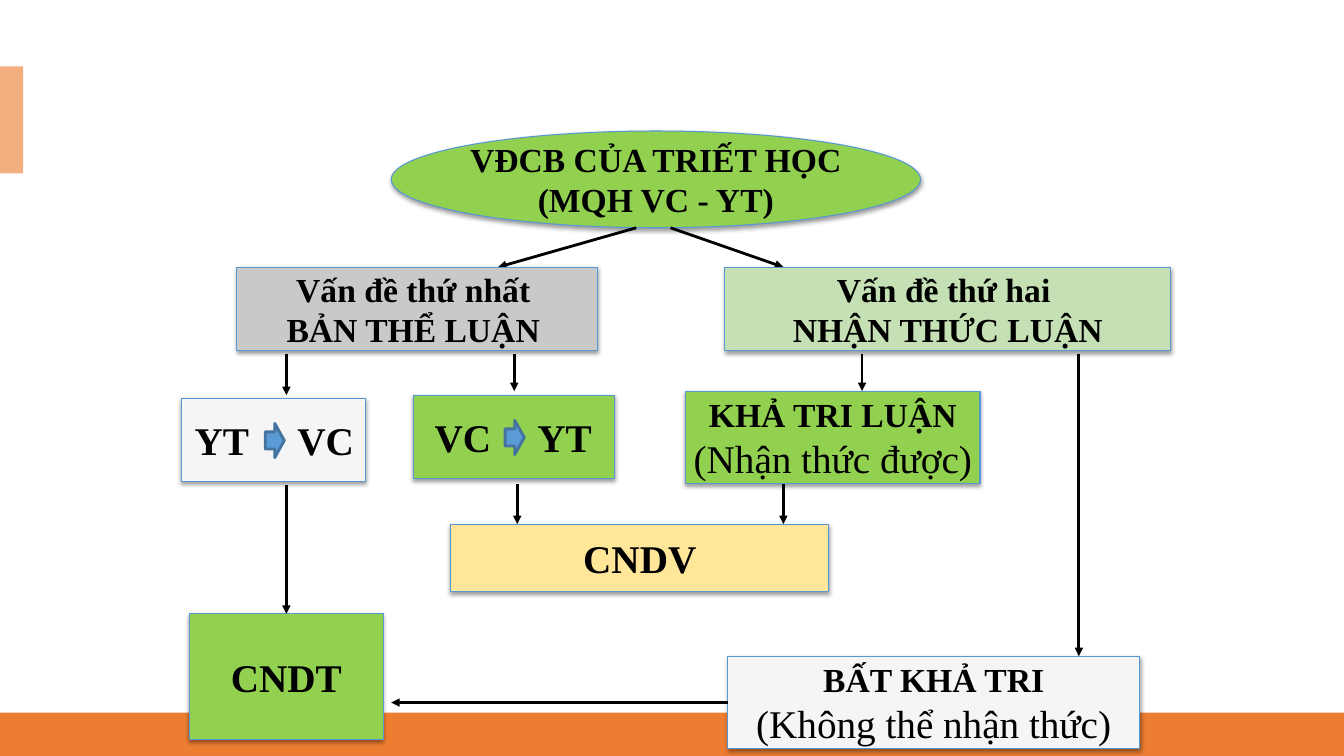
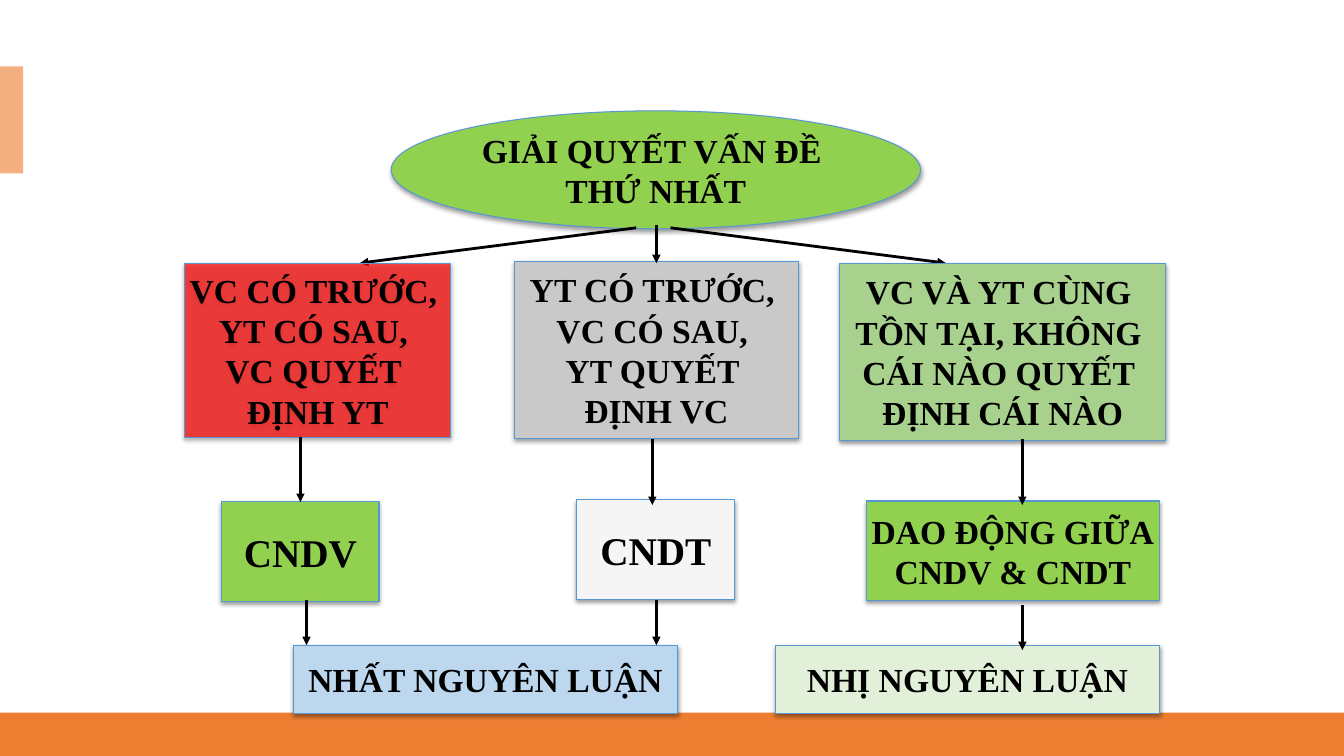
import pptx
import pptx.util
from lxml import etree
from pptx.dml.color import RGBColor
from pptx.enum.shapes import MSO_CONNECTOR, MSO_SHAPE
from pptx.enum.text import MSO_ANCHOR, PP_ALIGN
from pptx.oxml.ns import qn
from pptx.util import Inches

BLACK = RGBColor(0x00, 0x00, 0x00)
ORANGE = RGBColor(0xED, 0x7D, 0x31)
PEACH = RGBColor(0xF4, 0xAF, 0x80)
OUTLINE = RGBColor(0x56, 0x98, 0xD3)
BLUE = RGBColor(0x5B, 0x9B, 0xD5)
DARK_BLUE = RGBColor(0x43, 0x73, 0x9E)
LIGHT_BLUE = RGBColor(0xBD, 0xD7, 0xEE)
LIME = RGBColor(0x92, 0xD0, 0x50)
GREEN = RGBColor(0xA9, 0xD1, 0x8E)
LIGHT_GREEN = RGBColor(0xC5, 0xE0, 0xB4)
PALE_GREEN = RGBColor(0xE2, 0xF0, 0xD9)
GRAY = RGBColor(0xC9, 0xC9, 0xC9)
WHITE_SMOKE = RGBColor(0xF5, 0xF5, 0xF5)
YELLOW = RGBColor(0xFF, 0xE6, 0x99)
RED = RGBColor(0xFF, 0x00, 0x00)

FONT = "Times New Roman"
SMALL, LARGE = 24, 28


def add_preset(s, preset, at, fill, line=None, width=0.75):
    sp = s.shapes.add_shape(preset, *map(Inches, at))
    sp.shadow.inherit = False
    sp.fill.solid()
    sp.fill.fore_color.rgb = fill
    if line is None:
        sp.line.fill.background()
    else:
        sp.line.color.rgb = line
        sp.line.width = pptx.util.Pt(width)
    return sp


def add_soft_shadow(sp):
    effects = sp._element.spPr.find(qn("a:effectLst"))
    shadow = etree.SubElement(effects, qn("a:outerShdw"), blurRad="39400",
                              dist="20300", dir="5400000", rotWithShape="0")
    color = etree.SubElement(shadow, qn("a:srgbClr"), val=str(BLACK))
    etree.SubElement(color, qn("a:alpha"), val="38000")


def set_opacity(sp, percent):
    color = sp._element.spPr.find(qn("a:solidFill"))[0]
    etree.SubElement(color, qn("a:alpha"), val=str(percent * 1000))


def style_paragraph(p, size, bold=True):
    p.font.name = FONT
    p.font.size = pptx.util.Pt(size)
    p.font.bold = bold
    p.font.color.rgb = BLACK


def add_node(s, at, fill, lines, size=SMALL, note=None, preset=MSO_SHAPE.RECTANGLE):
    """Shadowed box with bold centred lines and an optional plain last line."""
    sp = add_preset(s, preset, at, fill, OUTLINE)
    add_soft_shadow(sp)
    tf = sp.text_frame
    tf.word_wrap = False
    tf.vertical_anchor = MSO_ANCHOR.MIDDLE
    texts = [(text, size, True) for text in lines]
    if note:
        texts.append((note, LARGE, False))
    for i, (text, points, bold) in enumerate(texts):
        p = tf.add_paragraph() if i else tf.paragraphs[0]
        p.alignment = PP_ALIGN.CENTER
        p.add_run().text = text
        style_paragraph(p, points, bold)
    return sp


def add_relation(s, at, fill, first, second, inset):
    """Box with two terms set apart by a tab and a block arrow between them."""
    left, top, width, height = at
    sp = add_node(s, at, fill, [])
    tf = sp.text_frame
    tf.word_wrap = True
    tf.margin_left, tf.margin_right = Inches(inset), 0
    p = tf.paragraphs[0]
    p.alignment = PP_ALIGN.LEFT
    tabs = etree.SubElement(p._p.get_or_add_pPr(), qn("a:tabLst"))
    etree.SubElement(tabs, qn("a:tab"), pos=str(Inches(1.02)), algn="l")
    p.add_run().text = f"{first}\t{second}"
    style_paragraph(p, LARGE)
    add_preset(s, MSO_SHAPE.RIGHT_ARROW,
               (left + inset + 0.7, top + 0.25, 0.19, 0.34), BLUE, DARK_BLUE, 2)


def add_arrow(s, x1, y1, x2, y2):
    line = s.shapes.add_connector(MSO_CONNECTOR.STRAIGHT,
                                  *map(Inches, (x1, y1, x2, y2)))
    line.line.color.rgb = BLACK
    line.line.width = pptx.util.Pt(2)
    etree.SubElement(line.line._get_or_add_ln(), qn("a:tailEnd"), type="triangle")
    etree.SubElement(line._element.spPr, qn("a:effectLst"))


def add_drops(s, drops):
    """Vertical arrows, each given as x, top and bottom."""
    for x, top, bottom in drops:
        add_arrow(s, x, top, x, bottom)


def add_root(s, top, height, lines, targets):
    """Ellipse at the head of a tree, with slanted arrows to both sides."""
    add_node(s, (3.88, top, 5.25, height), LIME, lines, preset=MSO_SHAPE.OVAL)
    for x, (to_x, to_y) in zip((6.31, 6.65), targets):
        add_arrow(s, x, 2.26, to_x, to_y)


def add_slide(prs):
    s = prs.slides.add_slide(prs.slide_layouts[6])
    add_preset(s, MSO_SHAPE.RECTANGLE, (0, 7.07, 13.33, 0.43), ORANGE)
    add_preset(s, MSO_SHAPE.RECTANGLE, (0, 0.66, 0.23, 1.06), PEACH)
    return s


def add_two_questions(prs):
    s = add_slide(prs)
    add_root(s, 1.3, 0.96, ["VĐCB CỦA TRIẾT HỌC", "(MQH VC - YT)"],
             [(4.94, 2.65), (7.77, 2.65)])
    add_node(s, (2.35, 2.65, 3.58, 0.83), GRAY,
             ["Vấn đề thứ nhất ", "BẢN THỂ LUẬN "])
    add_node(s, (7.19, 2.65, 4.42, 0.83), LIGHT_GREEN,
             ["Vấn đề thứ hai ", "NHẬN THỨC LUẬN"])
    add_relation(s, (1.8, 3.95, 1.83, 0.83), WHITE_SMOKE, "YT", "VC", 0.13)
    add_relation(s, (4.1, 3.92, 2, 0.83), LIME, "VC", "YT", 0.21)
    add_node(s, (6.8, 3.88, 2.92, 0.92), LIME, ["KHẢ TRI LUẬN"],
             note="(Nhận thức được)")
    add_node(s, (4.47, 5.2, 3.75, 0.67), YELLOW, ["CNDV"], LARGE)
    add_node(s, (1.88, 6.09, 1.92, 1.25), LIME, ["CNDT"], LARGE)
    add_node(s, (7.22, 6.51, 4.08, 0.92), WHITE_SMOKE, ["BẤT KHẢ TRI"],
             note="(Không thể nhận thức)")
    add_drops(s, [(2.84, 3.51, 3.92), (5.1, 3.51, 3.88), (8.55, 3.51, 3.88),
                  (10.7, 3.51, 6.51), (5.13, 4.8, 5.2), (7.77, 4.8, 5.2),
                  (2.84, 4.81, 6.09)])
    add_arrow(s, 7.22, 6.97, 3.88, 6.97)


def add_first_question(prs):
    s = add_slide(prs)
    add_root(s, 1.1, 1.17, ["GIẢI QUYẾT VẤN ĐỀ ", "THỨ NHẤT"],
             [(3.57, 2.61), (9.38, 2.61)])
    matter = add_node(s, (1.83, 2.61, 2.64, 1.73), RED,
                      ["VC CÓ TRƯỚC, ", "YT CÓ SAU, ", "VC QUYẾT ", "ĐỊNH YT"])
    set_opacity(matter, 69)
    add_node(s, (5.1, 2.59, 2.82, 1.76), GRAY,
             ["YT CÓ TRƯỚC, ", "VC CÓ SAU, ", "YT QUYẾT ", "ĐỊNH VC"])
    add_node(s, (8.33, 2.61, 3.23, 1.76), GREEN,
             ["VC VÀ YT CÙNG ", "TỒN TẠI, KHÔNG ", "CÁI NÀO QUYẾT ", "ĐỊNH CÁI NÀO"])
    add_node(s, (2.2, 4.98, 1.56, 0.99), LIME, ["CNDV"], LARGE)
    add_node(s, (5.72, 4.96, 1.57, 0.99), WHITE_SMOKE, ["CNDT"], LARGE)
    add_node(s, (8.59, 4.97, 2.91, 0.99), LIME, ["DAO ĐỘNG GIỮA", "CNDV & CNDT"])
    add_node(s, (2.91, 6.4, 3.81, 0.68), LIGHT_BLUE, ["NHẤT NGUYÊN LUẬN"])
    add_node(s, (7.69, 6.4, 3.81, 0.68), PALE_GREEN, ["NHỊ NGUYÊN LUẬN"])
    add_drops(s, [(6.51, 2.23, 2.61), (2.98, 4.34, 4.98), (6.47, 4.36, 5.01),
                  (10.14, 4.36, 5.01), (3.04, 5.95, 6.4), (6.51, 5.95, 6.4),
                  (10.14, 6, 6.45)])


def main():
    prs = pptx.Presentation()
    prs.slide_width, prs.slide_height = Inches(13.33), Inches(7.5)
    add_two_questions(prs)
    add_first_question(prs)
    prs.save("out.pptx")


if __name__ == "__main__":
    main()
